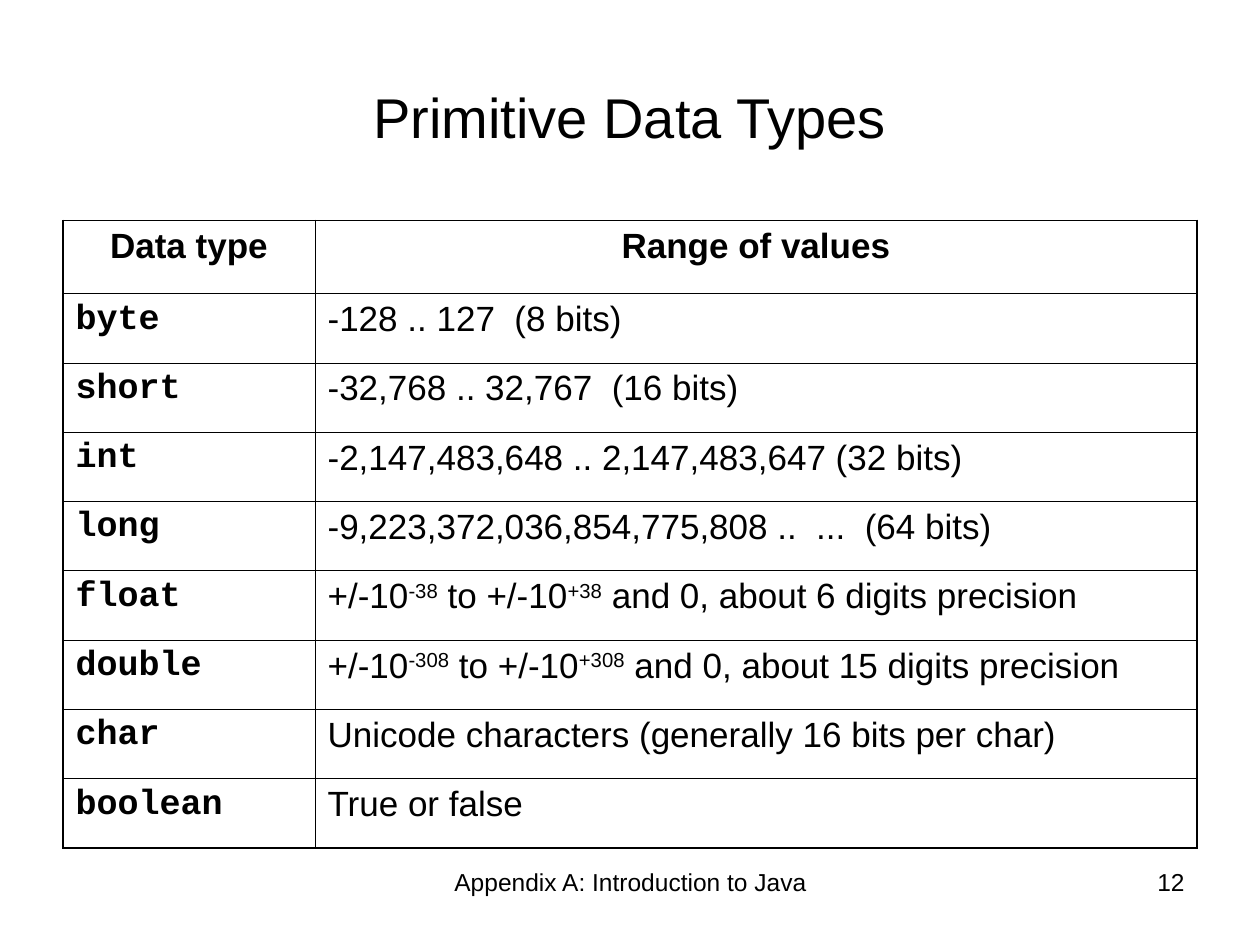
"""Build a slide with a table of Java's primitive data types."""
from dataclasses import dataclass

from lxml import etree
from pptx import Presentation
from pptx.dml.color import RGBColor
from pptx.enum.text import MSO_ANCHOR, PP_ALIGN
from pptx.oxml.ns import qn
from pptx.util import Inches, Pt

CENTER, RIGHT, JUSTIFY = PP_ALIGN.CENTER, PP_ALIGN.RIGHT, PP_ALIGN.JUSTIFY
TOP, MIDDLE = MSO_ANCHOR.TOP, MSO_ANCHOR.MIDDLE
WIDTH, HEIGHT = Inches(10), Inches(7.5)
COLORS = {"ink": "000000", "paper": "FFFFFF"}
SANS, MONO = "Arial", "Courier New"
OUTER, INNER = Pt(1.08), Pt(0.45)
COLUMN_SHARES = (0.2, 0.7)
HEADER_HEIGHT, ROW_HEIGHT = Inches(0.58), Inches(0.55)
SUPERSCRIPT_MARK = "^"


@dataclass(frozen=True)
class Caption:
    text: str
    left: float
    top: float
    width: float
    height: float
    size: int
    align: PP_ALIGN
    anchor: MSO_ANCHOR = TOP


@dataclass(frozen=True)
class DataType:
    keyword: str
    values: str


CAPTIONS = (
    Caption("Primitive Data Types", 0.05, 0.04, 0.9, 1 / 6, 32, CENTER, MIDDLE),
    Caption("Appendix A: Introduction to Java", 0.342, 0.911, 0.317, 0.07, 14, CENTER),
    Caption("12", 0.717, 0.911, 0.233, 0.07, 14, RIGHT),
)
HEADER = DataType("Data type", "Range of values")
DATA_TYPES = (
    DataType("byte", "-128 .. 127  (8 bits)"),
    DataType("short", "-32,768 .. 32,767  (16 bits)"),
    DataType("int", "-2,147,483,648 .. 2,147,483,647 (32 bits)"),
    DataType("long", "-9,223,372,036,854,775,808 ..  ...  (64 bits)"),
    DataType("float", "+/-10^-38^ to +/-10^+38^ and 0, about 6 digits precision"),
    DataType("double", "+/-10^-308^ to +/-10^+308^ and 0, about 15 digits precision"),
    DataType("char", "Unicode characters (generally 16 bits per char)"),
    DataType("boolean", "True or false"),
)


def write(paragraph, text: str, align: PP_ALIGN, size: int, name: str = SANS, bold: bool = False) -> None:
    """Write text into a paragraph, raising the parts between superscript marks."""
    paragraph.alignment = align
    font_format = {"size": Pt(size), "name": name, "bold": bold}
    for index, part in enumerate(text.split(SUPERSCRIPT_MARK)):
        run = paragraph.add_run()
        run.text = part
        for attribute, value in font_format.items():
            setattr(run.font, attribute, value)
        run.font.color.rgb = RGBColor.from_string(COLORS["ink"])
        if index % 2:
            run.font._element.set("baseline", "30000")


def add_caption(slide, caption: Caption) -> None:
    """Add a text box placed by shares of the slide's size."""
    box = slide.shapes.add_textbox(
        round(caption.left * WIDTH), round(caption.top * HEIGHT),
        round(caption.width * WIDTH), round(caption.height * HEIGHT),
    )
    frame_format = {"word_wrap": True, "vertical_anchor": caption.anchor}
    for attribute, value in frame_format.items():
        setattr(box.text_frame, attribute, value)
    write(box.text_frame.paragraphs[0], caption.text, caption.align, caption.size)


def set_borders(cell, widths: dict[str, int]) -> None:
    """Draw the cell's borders in the given widths."""
    properties = cell._tc.get_or_add_tcPr()
    for index, (side, width) in enumerate(widths.items()):
        line = etree.Element(qn(f"a:{side}"), w=str(int(width)))
        fill = etree.SubElement(line, qn("a:solidFill"))
        etree.SubElement(fill, qn("a:srgbClr"), val=COLORS["ink"])
        properties.insert(index, line)


def add_type_table(slide, entries: tuple[DataType, ...]) -> None:
    """Add the table, with its first entry as the header."""
    last_row, last_column = len(entries) - 1, len(COLUMN_SHARES) - 1
    table = slide.shapes.add_table(
        len(entries), len(COLUMN_SHARES), round(0.05 * WIDTH), Inches(1.75),
        round(sum(COLUMN_SHARES) * WIDTH), HEADER_HEIGHT + last_row * ROW_HEIGHT,
    ).table
    for column, share in zip(table.columns, COLUMN_SHARES):
        column.width = round(share * WIDTH)
    for row, entry in enumerate(entries):
        is_header = row == 0
        table.rows[row].height = HEADER_HEIGHT if is_header else ROW_HEIGHT
        for column, text in enumerate((entry.keyword, entry.values)):
            cell = table.cell(row, column)
            cell.fill.solid()
            cell.fill.fore_color.rgb = RGBColor.from_string(COLORS["paper"])
            set_borders(cell, {
                "lnL": OUTER if column == 0 else INNER,
                "lnR": OUTER if column == last_column else INNER,
                "lnT": OUTER if is_header else INNER,
                "lnB": OUTER if row == last_row else INNER,
            })
            paragraph = cell.text_frame.paragraphs[0]
            paragraph.space_before = Pt(5)
            is_keyword = column == 0 and not is_header
            write(paragraph, text, CENTER if is_header else JUSTIFY, 20,
                  MONO if is_keyword else SANS, is_header or is_keyword)


def main() -> None:
    """Build and save the slide."""
    presentation = Presentation()
    presentation.slide_width, presentation.slide_height = WIDTH, HEIGHT
    slide = presentation.slides.add_slide(presentation.slide_layouts[6])
    add_type_table(slide, (HEADER, *DATA_TYPES))
    for caption in CAPTIONS:
        add_caption(slide, caption)
    presentation.save("out.pptx")


if __name__ == "__main__":
    main()
